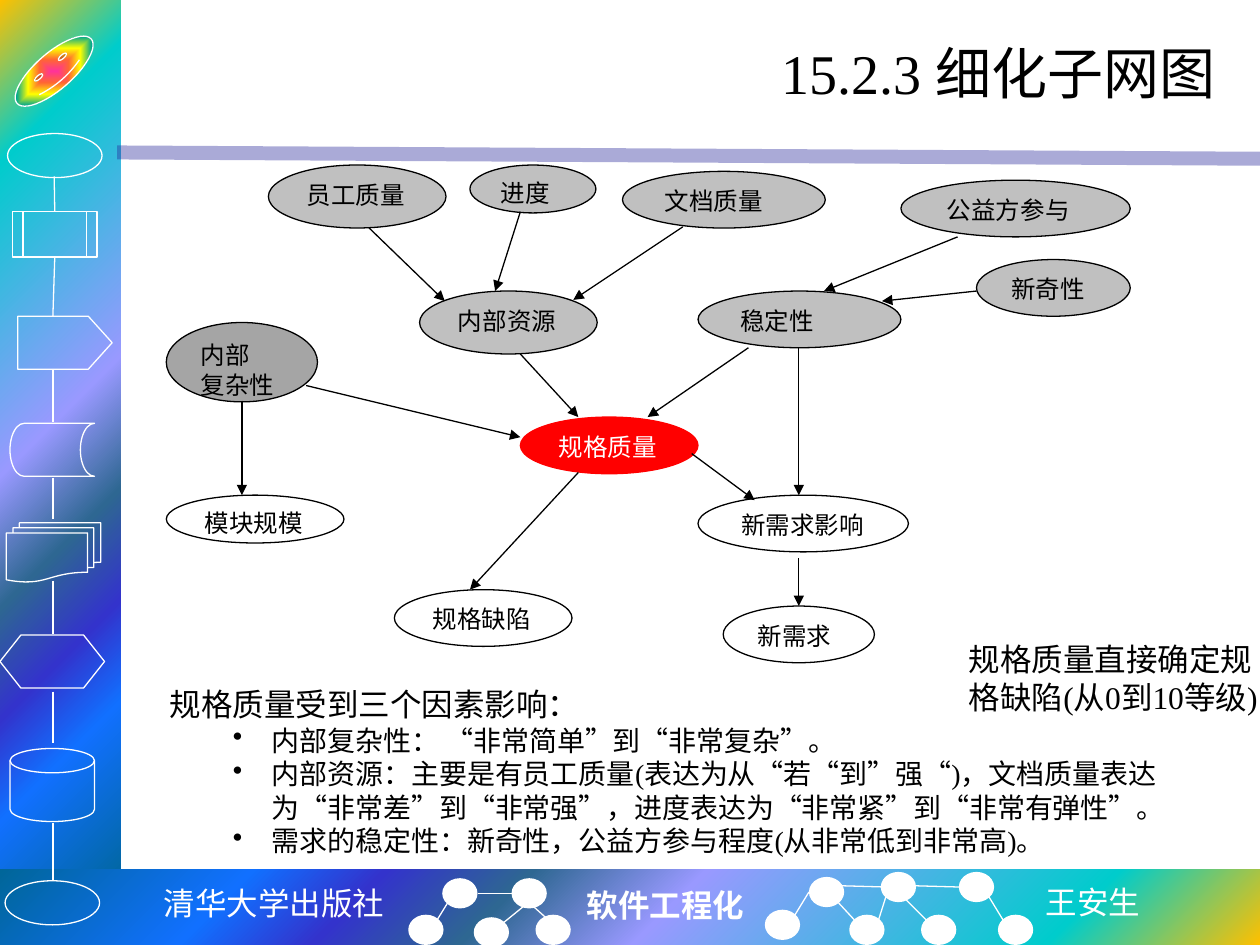
from pptx import Presentation, dml, util as u
from pptx.dml.color import RGBColor
from pptx.enum import shapes as sh, text as t
from pptx.oxml import ns, parse_xml

PX = 9144
WHITE = RGBColor(255, 255, 255)
BLACK = RGBColor(0, 0, 0)
RED = RGBColor(255, 0, 0)
GREY = RGBColor(192, 192, 192)
DARK = RGBColor(165, 165, 165)
NAVY = RGBColor(38, 38, 153)
ROMAN = "Times New Roman"
OVAL = sh.MSO_SHAPE.OVAL
SEA = [(0, "FFC000"), (16, "00CCCC"), (47, "9999FF"), (60, "2E6792"),
       (71, "3333CC"), (81, "1170FF"), (100, "006699")]
GLOW = [(0, "FF3399"), (25, "FF6633"), (50, "FFFF00"), (75, "01A78F"), (100, "3366FF")]


def assign(item, vals):
    for key, val in vals.items():
        setattr(item, key, val)


def place(box, part):
    return [PX * n for n in (box[0] + part[0], box[1] + part[1], part[2], part[3])]


def shape(pool, kind, box, part, fill=None, line=None):
    item = pool.add_shape(kind, *place(box, part))
    item.shadow.inherit = False
    if fill is None:
        item.fill.background()
    else:
        item.fill.solid()
        item.fill.fore_color.rgb = fill
    if line is None:
        item.line.fill.background()
    else:
        item.line.color.rgb = line
        item.line.width = u.Pt(0.75)
    return item


def blend(item, stops, way, focus):
    marks = "".join(f'<a:gs pos="{pos * 1000}"><a:srgbClr val="{tone}"/></a:gs>'
                    for pos, tone in stops)
    sides = " ".join(f'{side}="{val * 1000}"' for side, val in zip("ltrb", focus))
    item.fill.gradient()
    props = item._element.spPr
    props.replace(props.find(ns.qn("a:gradFill")), parse_xml(
        f'<a:gradFill {ns.nsdecls("a")} rotWithShape="1"><a:gsLst>{marks}</a:gsLst>'
        f'<a:path path="{way}"><a:fillToRect {sides}/></a:path></a:gradFill>'))


def link(pool, box, ends, tone, width=0.75, tip=False):
    spots = [PX * (n + box[i % 2]) for i, n in enumerate(ends)]
    item = pool.add_connector(sh.MSO_CONNECTOR.STRAIGHT, *spots)
    item.line.color.rgb = tone
    item.line.width = u.Pt(width)
    if tip:
        item.line._get_or_add_ln().append(
            parse_xml(f'<a:tailEnd {ns.nsdecls("a")} type="triangle"/>'))
    item._element.spPr.append(parse_xml(f'<a:effectLst {ns.nsdecls("a")}/>'))
    return item


def write(frame, words, size, tone=BLACK, name=ROMAN, bold=None, align=None):
    frame.text = words
    for para in frame.paragraphs:
        para.alignment = align
        for run in para.runs:
            assign(run.font, {"size": u.Pt(size), "name": name, "bold": bold})
            run.font.color.rgb = tone


def label(pool, box, words, size, wrap=True, fit=True, **look):
    frame = pool.add_textbox(*place((0, 0), box)).text_frame
    frame.word_wrap = wrap
    if fit:
        frame.auto_size = t.MSO_AUTO_SIZE.SHAPE_TO_FIT_TEXT
    write(frame, words, size, **look)
    return frame


def panel(pool, box, focus):
    item = shape(pool, sh.MSO_SHAPE.RECTANGLE, (0, 0), box)
    blend(item, SEA, "circle", focus)


def rule(pool, box):
    item = link(pool, box, (0, 0, box[2], box[3]), NAVY, 8)
    tone = item._element.spPr.find(".//" + ns.qn("a:srgbClr"))
    tone.append(parse_xml(f'<a:alpha {ns.nsdecls("a")} val="39000"/>'))


def rail(pool, box):
    kind = sh.MSO_SHAPE
    face = shape(pool, kind.SMILEY_FACE, box, (4, 42, 78, 29), WHITE, WHITE)
    face.rotation = -41
    face.adjustments[0] = 0.047
    blend(face, GLOW, "shape", (50, 50, 50, 50))
    signs = [shape(pool, form, box, part, line=WHITE) for form, part in (
        (OVAL, (6, 106, 75, 35)),
        (kind.FLOWCHART_PREDEFINED_PROCESS, (10, 168, 67, 36)),
        (kind.PENTAGON, (14, 251, 75, 42)),
        (kind.FLOWCHART_STORED_DATA, (8, 336, 67, 42)),
        (kind.FLOWCHART_MULTIDOCUMENT, (5, 415, 75, 47)),
        (kind.FLOWCHART_PREPARATION, (0, 504, 83, 42)),
        (kind.FLOWCHART_MAGNETIC_DISK, (8, 594, 67, 58)),
        (OVAL, (4, 699, 75, 35)))]
    signs[2].adjustments[0] = 0.45
    spans = ((140, 168), (205, 251), (293, 335), (379, 412),
             (461, 503), (549, 590), (653, 699))
    joins = [link(pool, box, (42, top, 42, low), WHITE) for top, low in spans]
    joins[0].begin_x = PX * (box[0] + 43)
    joins[0].end_connect(signs[1], 0)
    joins[1].begin_connect(signs[1], 2)


def foot(pool, box):
    for x, y in ((351, 7), (642, 6), (324, 36), (674, 36), (699, 2), (376, 38), (761, 2),
                 (792, 36), (731, 36), (406, 7), (607, 32), (425, 36)):
        shape(pool, OVAL, box, (x, y, 28, 24), WHITE)
    for ends in ((347, 40, 355, 27), (400, 42, 416, 29), (406, 19, 379, 19),
                 (678, 40, 665, 26), (735, 40, 715, 20), (796, 40, 785, 22),
                 (697, 41, 703, 22), (726, 13, 761, 14), (631, 36, 642, 18),
                 (668, 13, 703, 14), (434, 39, 424, 30)):
        link(pool, box, ends, WHITE)
    for x, y, wide, words, look in (
            (119, 7, 197, "清华大学出版社",
             {"name": "Noto Sans Mono", "align": t.PP_ALIGN.CENTER}),
            (456, 8, 146, "软件工程化", {"bold": True}),
            (820, 6, 96, "王安生", {"name": "Noto Sans CJK SC"})):
        label(pool, (box[0] + x, box[1] + y, wide, 40), words, 18,
              wrap=False, tone=WHITE, **look)


def net(pool, box):
    group = pool.add_group_shape().shapes
    for words, part, fill in (
            ("内部\n复杂性", (0, 125, 120, 63), DARK),
            ("内部资源", (201, 100, 141, 50), GREY),
            ("员工质量", (81, 0, 141, 50), GREY),
            ("进度", (241, 0, 100, 38), GREY),
            ("文档质量", (362, 5, 161, 45), GREY),
            ("公益方参与", (583, 12, 182, 45), GREY),
            ("新奇性", (643, 75, 122, 45), GREY),
            ("稳定性", (422, 100, 161, 45), GREY),
            ("规格质量", (281, 200, 141, 45), RED),
            ("模块规模", (0, 262, 141, 38), None),
            ("新需求影响", (422, 262, 167, 45), None),
            ("新需求", (442, 350, 120, 45), None),
            ("规格缺陷", (181, 337, 141, 45), None)):
        hot = fill == RED
        node = shape(group, OVAL, box, part, fill, RED if hot else BLACK)
        node.text_frame.vertical_anchor = t.MSO_ANCHOR.TOP
        write(node.text_frame, words, 14, WHITE if hot else BLACK, align=t.PP_ALIGN.LEFT)
    for ends in ((161, 50, 221, 108), (281, 37, 261, 100), (111, 175, 281, 216),
                 (410, 49, 323, 107), (60, 187, 60, 262), (281, 150, 327, 200),
                 (462, 145, 382, 200), (628, 57, 522, 100), (643, 100, 568, 108),
                 (417, 229, 467, 266), (502, 145, 502, 262), (502, 312, 502, 350),
                 (327, 244, 241, 337)):
        link(group, box, ends, BLACK, tip=True)


def notes(pool, box):
    frame = label(pool, box, "\n".join((
        "规格质量受到三个因素影响：",
        "内部复杂性： “非常简单”到“非常复杂”。",
        "内部资源：主要是有员工质量(表达为从“若“到”强“)，文档质量表达为“非常差”到“非常强”，进度表达为“非常紧”到“非常有弹性”。",
        "需求的稳定性：新奇性，公益方参与程度(从非常低到非常高)。")), 18)
    for para in frame.paragraphs[1:]:
        para.level = 1
        props = para._p.get_or_add_pPr()
        props.set("marL", str(81 * PX))
        props.set("indent", str(-31 * PX))
        props.append(parse_xml(f'<a:buChar {ns.nsdecls("a")} char="•"/>'))
        for run in para.runs:
            run.font.size = u.Pt(16)


def main():
    deck = Presentation()
    assign(deck, {"slide_width": 1000 * PX, "slide_height": 750 * PX})
    pool = deck.slides.add_slide(deck.slide_layouts[6]).shapes
    panel(pool, (0, 0, 96, 709), (0, 0, 100, 100))
    panel(pool, (0, 690, 1000, 60), (100, 100, 0, 0))
    rule(pool, (93, 121, 907, 5))
    rail(pool, (0, 0, 96, 709))
    foot(pool, (0, 690, 1000, 60))
    title = label(pool, (125, 17, 850, 81), "15.2.3 细化子网图", 32,
                  fit=False, align=t.PP_ALIGN.RIGHT)
    title.vertical_anchor = t.MSO_ANCHOR.MIDDLE
    net(pool, (132, 131, 765, 395))
    notes(pool, (125, 539, 829, 148))
    label(pool, (759, 503, 258, 71), "规格质量直接确定规格缺陷(从0到10等级)", 18)
    deck.save("out.pptx")


if __name__ == "__main__":
    main()
